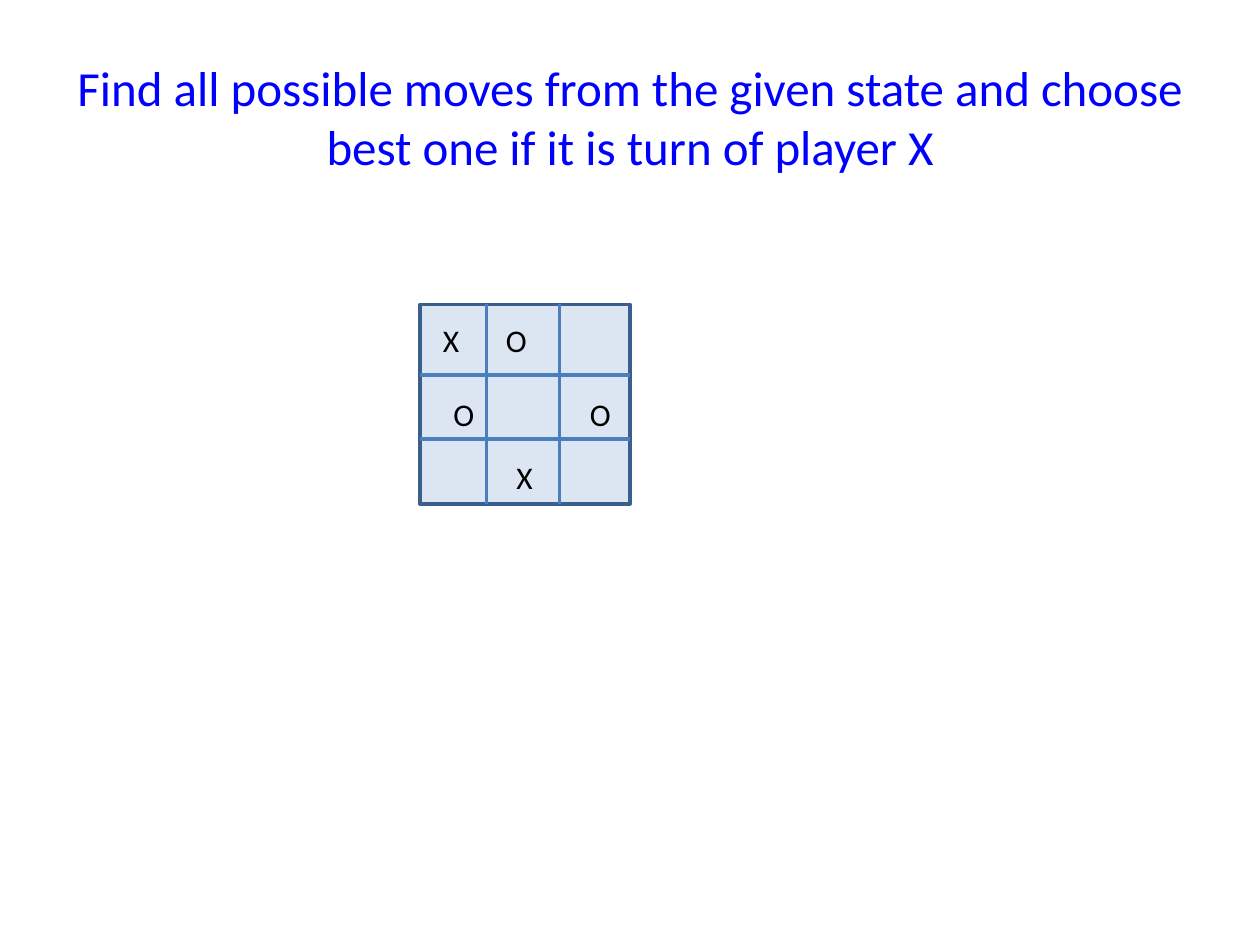
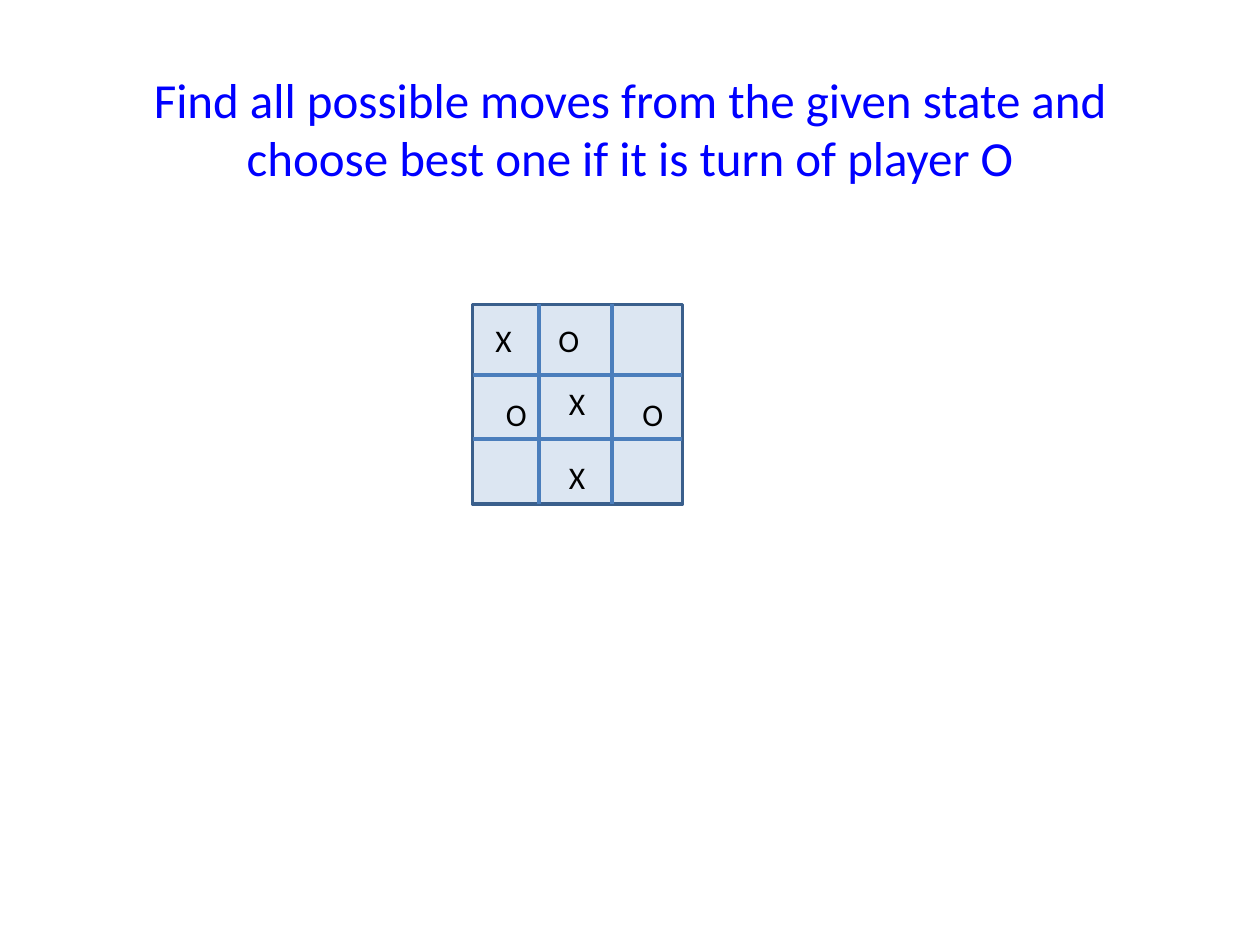
from dataclasses import dataclass

from lxml import etree
from pptx import Presentation
from pptx.dml.color import RGBColor
from pptx.enum.shapes import MSO_CONNECTOR, MSO_SHAPE
from pptx.enum.text import MSO_ANCHOR, MSO_AUTO_SIZE, PP_ALIGN
from pptx.oxml.ns import qn
from pptx.shapes.group import GroupShape
from pptx.slide import Slide
from pptx.util import Inches, Pt

RECTANGLE = MSO_SHAPE.RECTANGLE
STRAIGHT = MSO_CONNECTOR.STRAIGHT
TOP, MIDDLE = MSO_ANCHOR.TOP, MSO_ANCHOR.MIDDLE
LEFT, CENTER = PP_ALIGN.LEFT, PP_ALIGN.CENTER
NO_RESIZE, GROW = MSO_AUTO_SIZE.NONE, MSO_AUTO_SIZE.SHAPE_TO_FIT_TEXT

TITLE_BLUE = RGBColor(0x00, 0x00, 0xFF)
BOARD_FILL = RGBColor(0xDC, 0xE6, 0xF2)
BOARD_EDGE = RGBColor(0x3A, 0x5F, 0x8C)
GRID_BLUE = RGBColor(0x4B, 0x7E, 0xBC)
BLACK = RGBColor(0x00, 0x00, 0x00)
FONT_NAME = "Calibri"
TITLE_SIZE, MARK_SIZE, LINE_WIDTH = Pt(28), Pt(18), Pt(2)

SLIDE_WIDTH, SLIDE_HEIGHT = Inches(10), Inches(7.5)
COLUMNS = 120
UNIT = SLIDE_WIDTH / COLUMNS

BOARD_ROW, BOARD_COLUMNS, BOARD_ROWS = 29, 20, 19
VERTICAL_LINES = (6.35, 13.3)
HORIZONTAL_LINES = (6.7, 12.8)
MARK_COLUMNS, MARK_ROWS = 4, 4.8


@dataclass(frozen=True)
class Box:
    column: float
    row: float
    columns: float
    rows: float

    def lengths(self) -> tuple[int, int, int, int]:
        return (grid(self.column), grid(self.row),
                grid(self.columns), grid(self.rows))


@dataclass(frozen=True)
class Mark:
    player: str
    column: float
    row: float


@dataclass(frozen=True)
class Puzzle:
    player: str
    title_box: Box
    title_anchor: MSO_ANCHOR
    board_column: float
    marks: tuple[Mark, ...]


OPENING_MARKS = (
    Mark("O", 7, 1),
    Mark("O", 15, 8),
    Mark("O", 2, 8),
    Mark("X", 8, 14),
    Mark("X", 1, 1),
)
PUZZLES = (
    Puzzle("X", Box(6, 3.6, 108, 15), MIDDLE, 40, OPENING_MARKS),
    Puzzle("O", Box(8, 6, 104, 12.5), TOP, 45,
           OPENING_MARKS + (Mark("X", 8, 7),)),
)


def grid(count: float) -> int:
    return round(count * UNIT)


def add_text(slide: Slide, box: Box, text: str, size: Pt, color: RGBColor,
             alignment: PP_ALIGN, anchor: MSO_ANCHOR,
             auto_size: MSO_AUTO_SIZE) -> None:
    frame = slide.shapes.add_textbox(*box.lengths()).text_frame
    frame.word_wrap = True
    frame.auto_size = auto_size
    frame.vertical_anchor = anchor
    paragraph = frame.paragraphs[0]
    paragraph.alignment = alignment
    run = paragraph.add_run()
    run.text = text
    run.font.name = FONT_NAME
    run.font.size = size
    run.font.color.rgb = color


def add_grid_line(group: GroupShape, start: tuple[float, float],
                  end: tuple[float, float]) -> None:
    connector = group.shapes.add_connector(
        STRAIGHT, *map(grid, start), *map(grid, end))
    connector.line.color.rgb = GRID_BLUE
    connector.line.width = LINE_WIDTH
    etree.SubElement(connector._element.spPr, qn("a:effectLst"))


def add_board(slide: Slide, column: float) -> None:
    group = slide.shapes.add_group_shape()
    box = Box(column, BOARD_ROW, BOARD_COLUMNS, BOARD_ROWS)
    square = group.shapes.add_shape(RECTANGLE, *box.lengths())
    square.shadow.inherit = False
    square.fill.solid()
    square.fill.fore_color.rgb = BOARD_FILL
    square.line.color.rgb = BOARD_EDGE
    square.line.width = LINE_WIDTH
    for offset in VERTICAL_LINES:
        add_grid_line(group, (column + offset, BOARD_ROW),
                      (column + offset, BOARD_ROW + BOARD_ROWS))
    for offset in HORIZONTAL_LINES:
        add_grid_line(group, (column, BOARD_ROW + offset),
                      (column + BOARD_COLUMNS, BOARD_ROW + offset))


def add_puzzle(slide: Slide, puzzle: Puzzle) -> None:
    title = ("Find all possible moves from the given state and choose "
             f"best one if it is turn of player {puzzle.player}")
    add_text(slide, puzzle.title_box, title, TITLE_SIZE, TITLE_BLUE,
             CENTER, puzzle.title_anchor, NO_RESIZE)
    add_board(slide, puzzle.board_column)
    for mark in puzzle.marks:
        box = Box(puzzle.board_column + mark.column, BOARD_ROW + mark.row,
                  MARK_COLUMNS, MARK_ROWS)
        add_text(slide, box, mark.player, MARK_SIZE, BLACK, LEFT, TOP, GROW)


def main() -> None:
    presentation = Presentation()
    presentation.slide_width = SLIDE_WIDTH
    presentation.slide_height = SLIDE_HEIGHT
    blank_layout = presentation.slide_layouts[6]
    for puzzle in PUZZLES:
        add_puzzle(presentation.slides.add_slide(blank_layout), puzzle)
    presentation.save("out.pptx")


if __name__ == "__main__":
    main()
